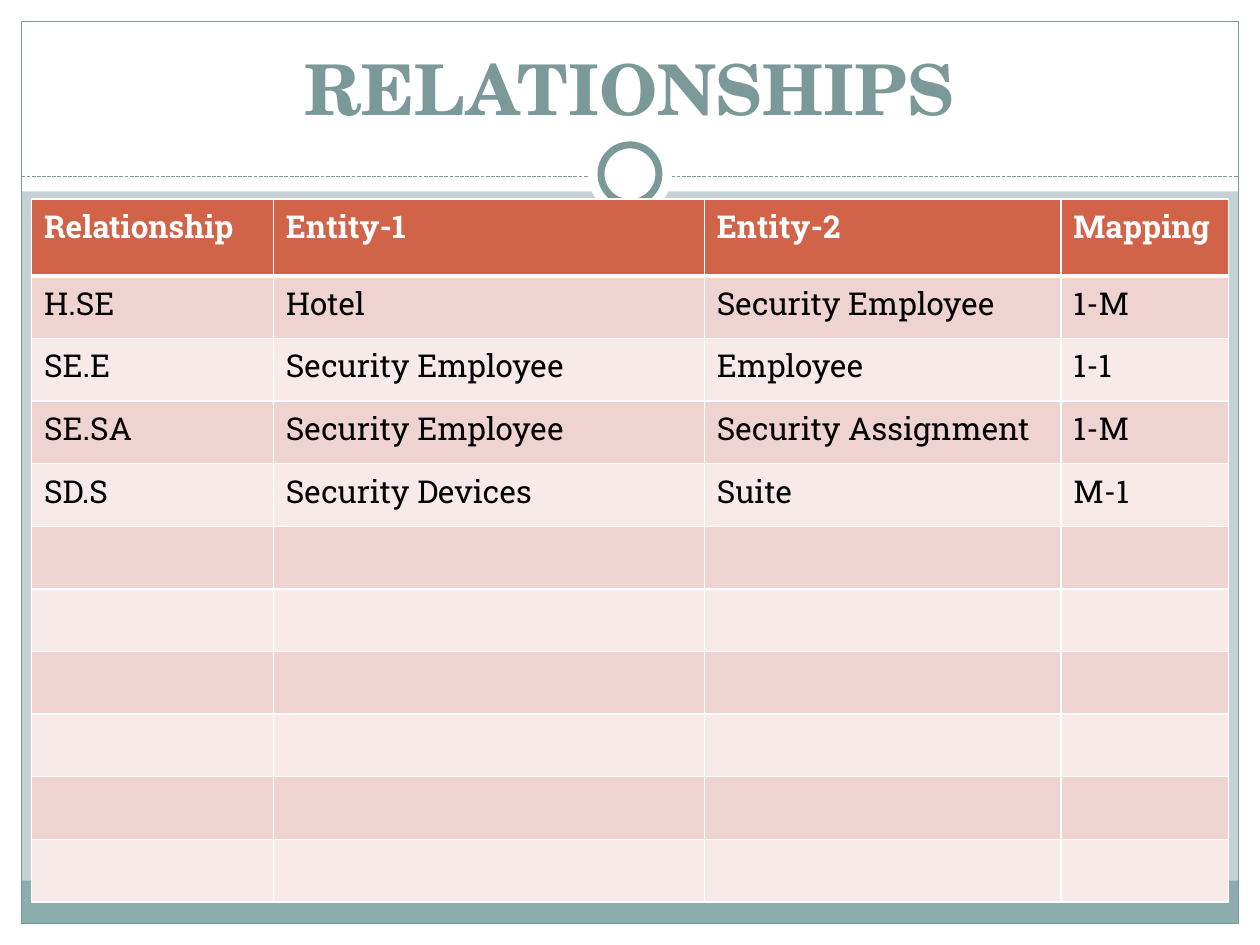
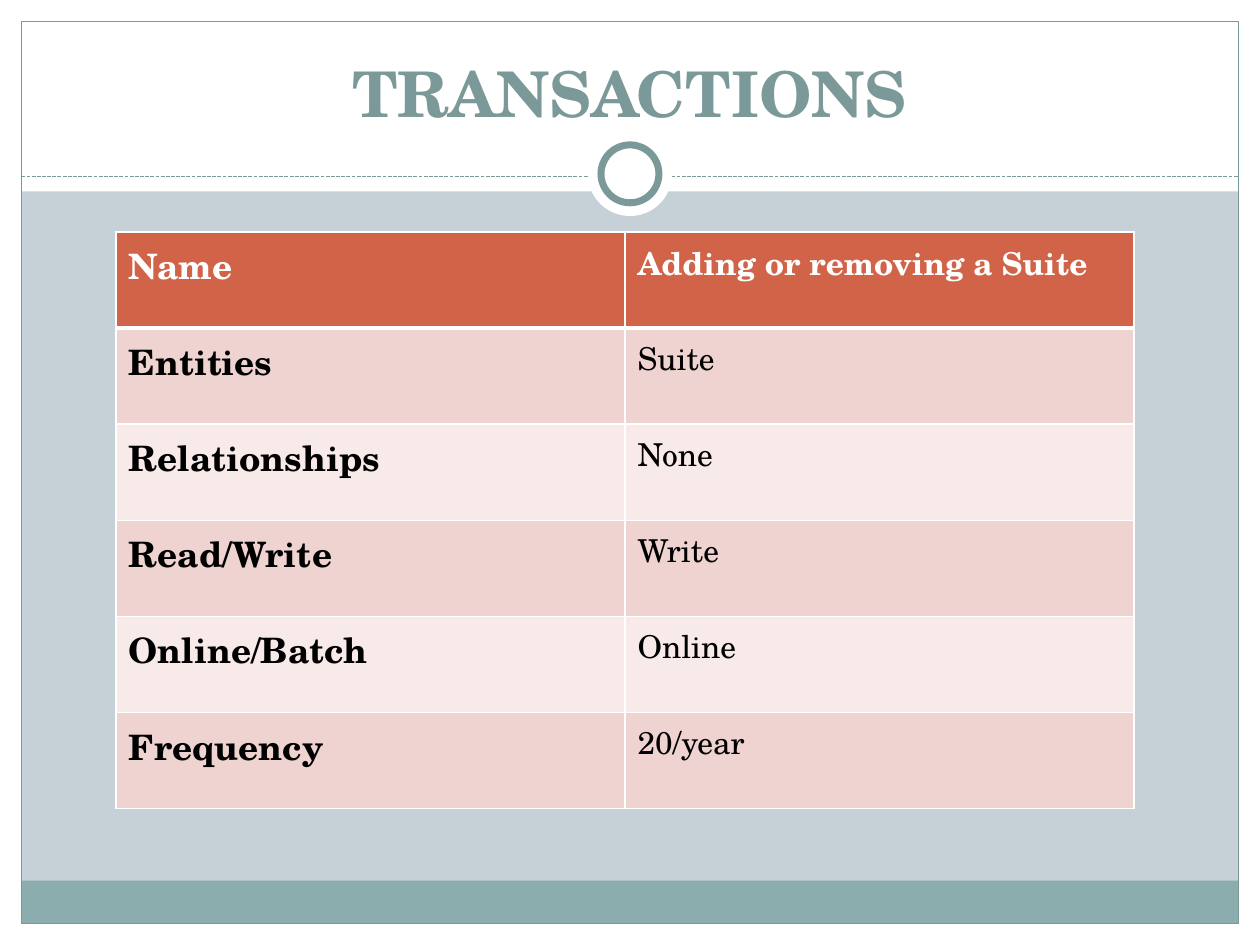
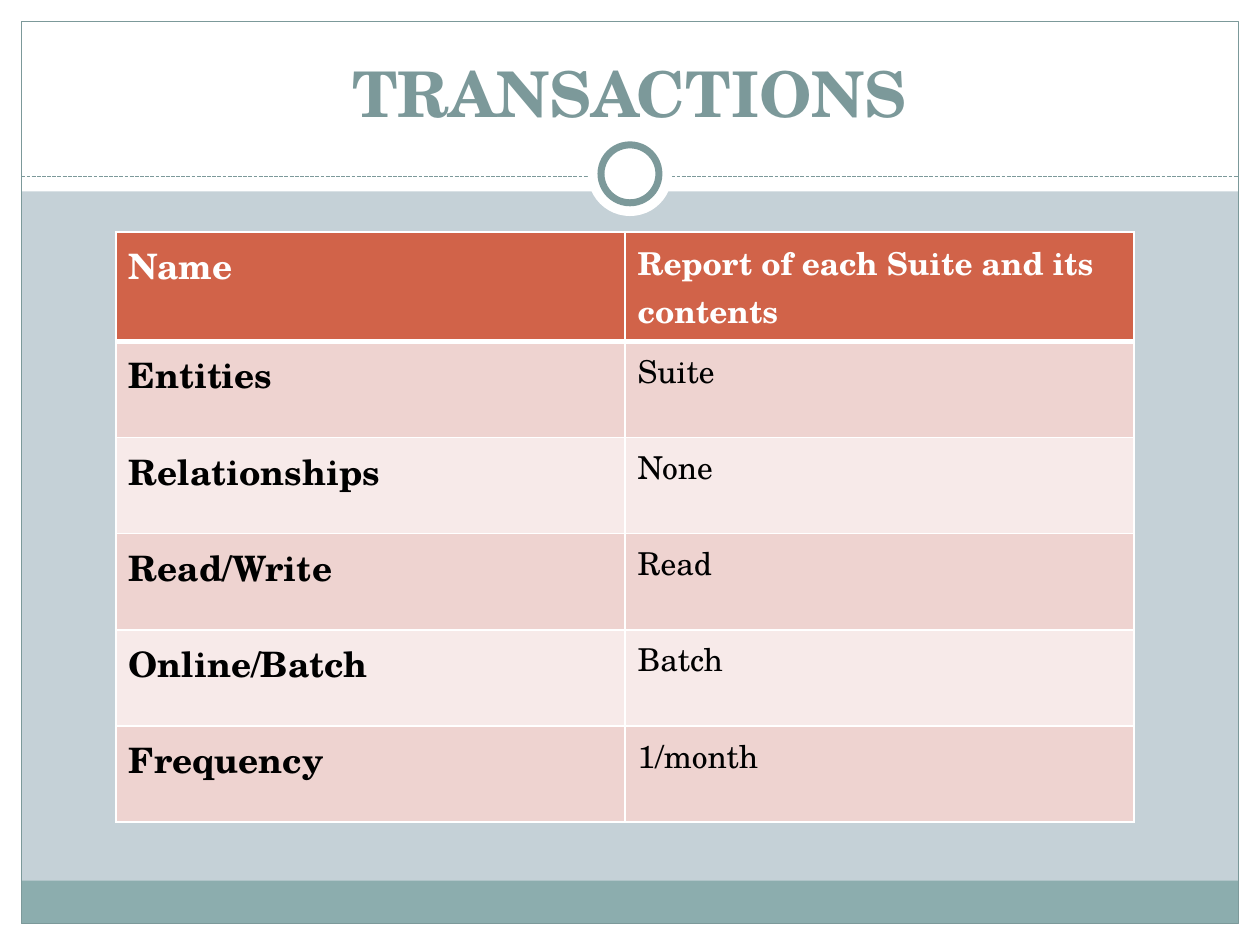
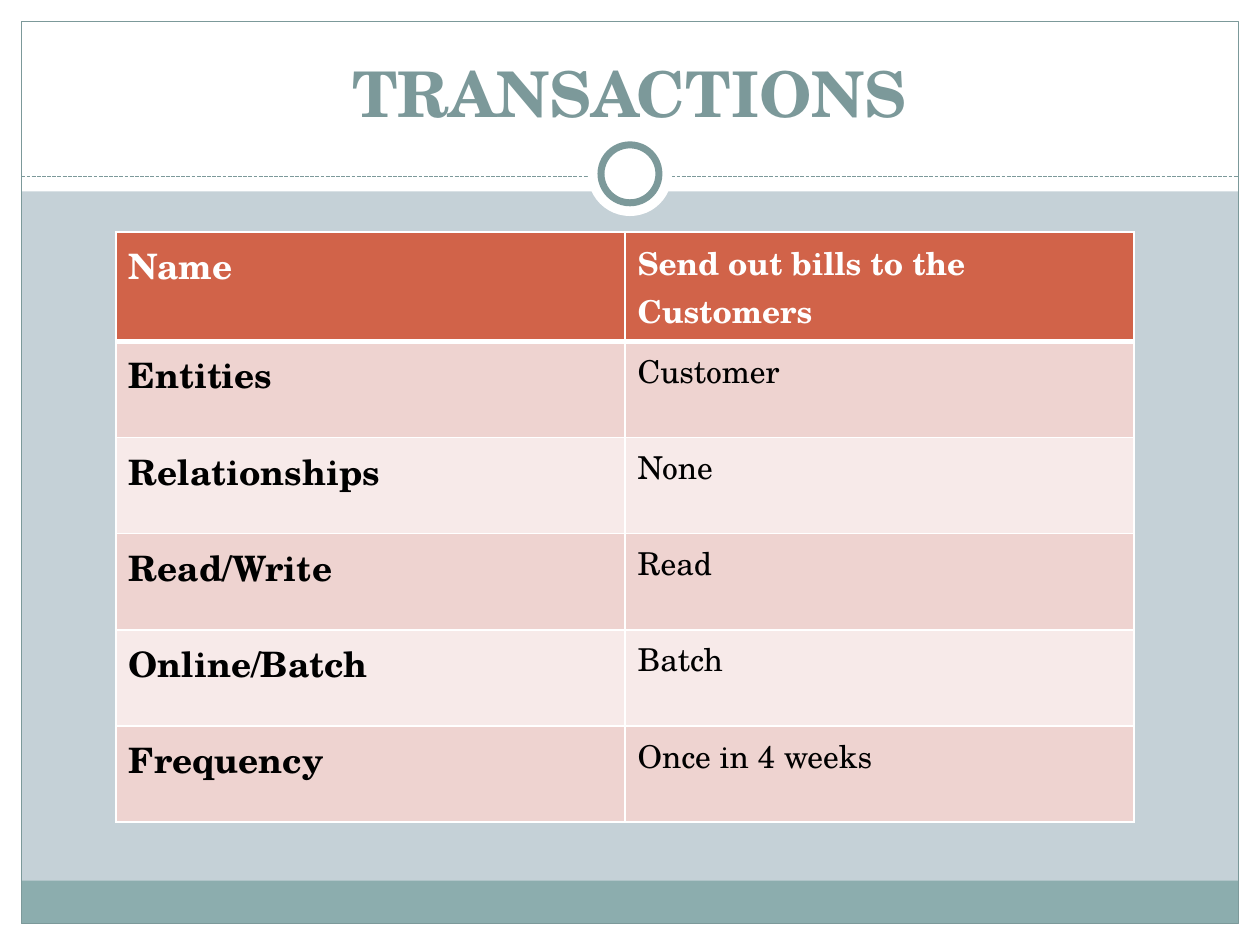
"""Build four slides on the relationships and transactions of a hotel database."""
from lxml import etree
from pptx import Presentation
from pptx.dml.color import RGBColor
from pptx.enum.dml import MSO_LINE
from pptx.enum.shapes import MSO_CONNECTOR, MSO_SHAPE
from pptx.enum.text import MSO_ANCHOR, PP_ALIGN
from pptx.oxml.ns import qn
from pptx.util import Inches, Pt

RECT, OVAL = MSO_SHAPE.RECTANGLE, MSO_SHAPE.OVAL
STRAIGHT, DASH = MSO_CONNECTOR.STRAIGHT, MSO_LINE.SQUARE_DOT
BOTTOM, CENTER = MSO_ANCHOR.BOTTOM, PP_ALIGN.CENTER

WHITE = RGBColor(0xFF, 0xFF, 0xFF)
BLACK = RGBColor(0x00, 0x00, 0x00)
BACKDROP = RGBColor(0xC5, 0xD1, 0xD7)
TEAL = RGBColor(0x7C, 0x99, 0x9A)
FOOTER = RGBColor(0x8C, 0xAD, 0xAE)
RUST = RGBColor(0xD1, 0x63, 0x49)
BANDS = (RGBColor(0xEE, 0xD3, 0xD0), RGBColor(0xF7, 0xEA, 0xE9))
SERIF, SLAB = "TeX Gyre Schola", "Roboto Slab"

RELATIONSHIPS = [
    ("Relationship", "Entity-1", "Entity-2", "Mapping"),
    ("H.SE", "Hotel", "Security Employee", "1-M"),
    ("SE.E", "Security Employee", "Employee", "1-1"),
    ("SE.SA", "Security Employee", "Security Assignment", "1-M"),
    ("SD.S", "Security Devices", "Suite", "M-1"),
]
SPARE_ROWS = 6
FIELDS = ("Name", "Entities", "Relationships", "Read/Write", "Online/Batch", "Frequency")
TRANSACTIONS = [
    ("Adding or removing a Suite", "Suite", "None", "Write", "Online", "20/year"),
    ("Report of each Suite and its contents", "Suite", "None", "Read", "Batch", "1/month"),
    ("Send out bills to the Customers", "Customer", "None", "Read", "Batch", "Once in 4 weeks"),
]

WIDTH, HEIGHT = 10, 7.5
EDGE = 0.17
HEADER_HEIGHT, FOOTER_HEIGHT, RULE_Y = 1.52, 0.34, 1.4
RING_Y, DISC_SIZE, RING_SIZE = 1.38, 0.67, 0.46
RELATION_HEADING, RELATION_HEIGHT = 0.61, 5.58
FIELD_HEIGHT = 4.58 / len(FIELDS)
TWO_LINE_HEADING, LINE_CHARACTERS = 0.87, 28


def add_block(slide, kind, left, top, width, height, fill=None, line_width=None):
    block = slide.shapes.add_shape(
        kind, Inches(left), Inches(top), Inches(width), Inches(height))
    block.shadow.inherit = False
    if fill is None:
        block.fill.background()
    else:
        block.fill.solid()
        block.fill.fore_color.rgb = fill
    if line_width is None:
        block.line.fill.background()
    else:
        block.line.color.rgb = TEAL
        block.line.width = Pt(line_width)


def add_circle(slide, size, line_width=None):
    add_block(slide, OVAL, (WIDTH - size) / 2, RING_Y - size / 2, size, size,
              WHITE, line_width)


def write(paragraph, text, font, size, color, bold):
    run = paragraph.add_run()
    run.text = text
    run.font.name = font
    run.font.size = Pt(size)
    run.font.color.rgb = color
    run.font.bold = bold


def add_frame(slide):
    inner_width, floor = WIDTH - 2 * EDGE, HEIGHT - EDGE
    margins = [
        (0, floor, WIDTH, EDGE),
        (0, 0, WIDTH, HEADER_HEIGHT),
        (0, 0, EDGE, HEIGHT),
        (WIDTH - EDGE, 0, EDGE, HEIGHT),
    ]
    for margin in margins:
        add_block(slide, RECT, *margin, WHITE)
    add_block(slide, RECT, EDGE, floor - FOOTER_HEIGHT, inner_width, FOOTER_HEIGHT, FOOTER)
    add_block(slide, RECT, EDGE, EDGE, inner_width, floor - EDGE, line_width=0.75)
    rule = slide.shapes.add_connector(
        STRAIGHT, Inches(EDGE), Inches(RULE_Y), Inches(WIDTH - EDGE), Inches(RULE_Y))
    rule.line.color.rgb = TEAL
    rule.line.width = Pt(0.75)
    rule.line.dash_style = DASH
    etree.SubElement(rule._element.spPr, qn("a:effectLst"))
    add_circle(slide, DISC_SIZE)
    add_circle(slide, RING_SIZE, 4)


def add_title(slide, text, size):
    title = slide.shapes.add_textbox(
        Inches(0.33), Inches(0.25), Inches(WIDTH - 0.67), Inches(0.83)).text_frame
    title.word_wrap = True
    title.vertical_anchor = BOTTOM
    title.paragraphs[0].alignment = CENTER
    write(title.paragraphs[0], text, SERIF, size, TEAL, True)


def add_border(cell, side, width):
    border = etree.SubElement(
        cell._tc.get_or_add_tcPr(), qn(f"a:ln{side}"), w=str(Pt(width)))
    fill = etree.SubElement(border, qn("a:solidFill"))
    etree.SubElement(fill, qn("a:srgbClr"), val=str(WHITE))


def add_grid(slide, rows, left, top, widths, heights, font, label_size, label_bold):
    grid = slide.shapes.add_table(
        len(rows), len(widths), Inches(left), Inches(top),
        Inches(sum(widths)), Inches(sum(heights))).table
    for column, width in zip(grid.columns, widths):
        column.width = Inches(width)
    for r, (values, height) in enumerate(zip(rows, heights)):
        grid.rows[r].height = Inches(height)
        heading = r == 0
        for c, value in enumerate(values):
            cell = grid.cell(r, c)
            for side in "LRTB":
                under_heading = (r, side) in ((0, "B"), (1, "T"))
                add_border(cell, side, 3 if under_heading else 1)
            cell.fill.solid()
            cell.fill.fore_color.rgb = RUST if heading else BANDS[(r - 1) % 2]
            if value:
                label = c == 0
                write(cell.text_frame.paragraphs[0], value, font,
                      label_size if label else 18,
                      WHITE if heading else BLACK,
                      heading or (label and label_bold))


def new_slide(deck, title, title_size):
    slide = deck.slides.add_slide(deck.slide_layouts[6])
    add_frame(slide)
    add_title(slide, title, title_size)
    return slide


def main():
    deck = Presentation()
    deck.slide_width, deck.slide_height = Inches(WIDTH), Inches(HEIGHT)
    backdrop = deck.slide_master.background.fill
    backdrop.solid()
    backdrop.fore_color.rgb = BACKDROP

    rows = RELATIONSHIPS + [("",) * 4] * SPARE_ROWS
    body_rows = len(rows) - 1
    row_height = (RELATION_HEIGHT - RELATION_HEADING) / body_rows
    add_grid(new_slide(deck, "RELATIONSHIPS", 40), rows, 0.25, 1.58,
             (1.92, 3.42, 2.83, 1.33), [RELATION_HEADING] + [row_height] * body_rows,
             SLAB, 18, False)
    for details in TRANSACTIONS:
        wraps = len(details[0]) > LINE_CHARACTERS
        heading_height = TWO_LINE_HEADING if wraps else FIELD_HEIGHT
        add_grid(new_slide(deck, "TRANSACTIONS", 36), list(zip(FIELDS, details)),
                 0.92, 1.84, [4.04] * 2,
                 [heading_height] + [FIELD_HEIGHT] * (len(FIELDS) - 1), SERIF, 20, True)
    deck.save("out.pptx")


if __name__ == "__main__":
    main()
